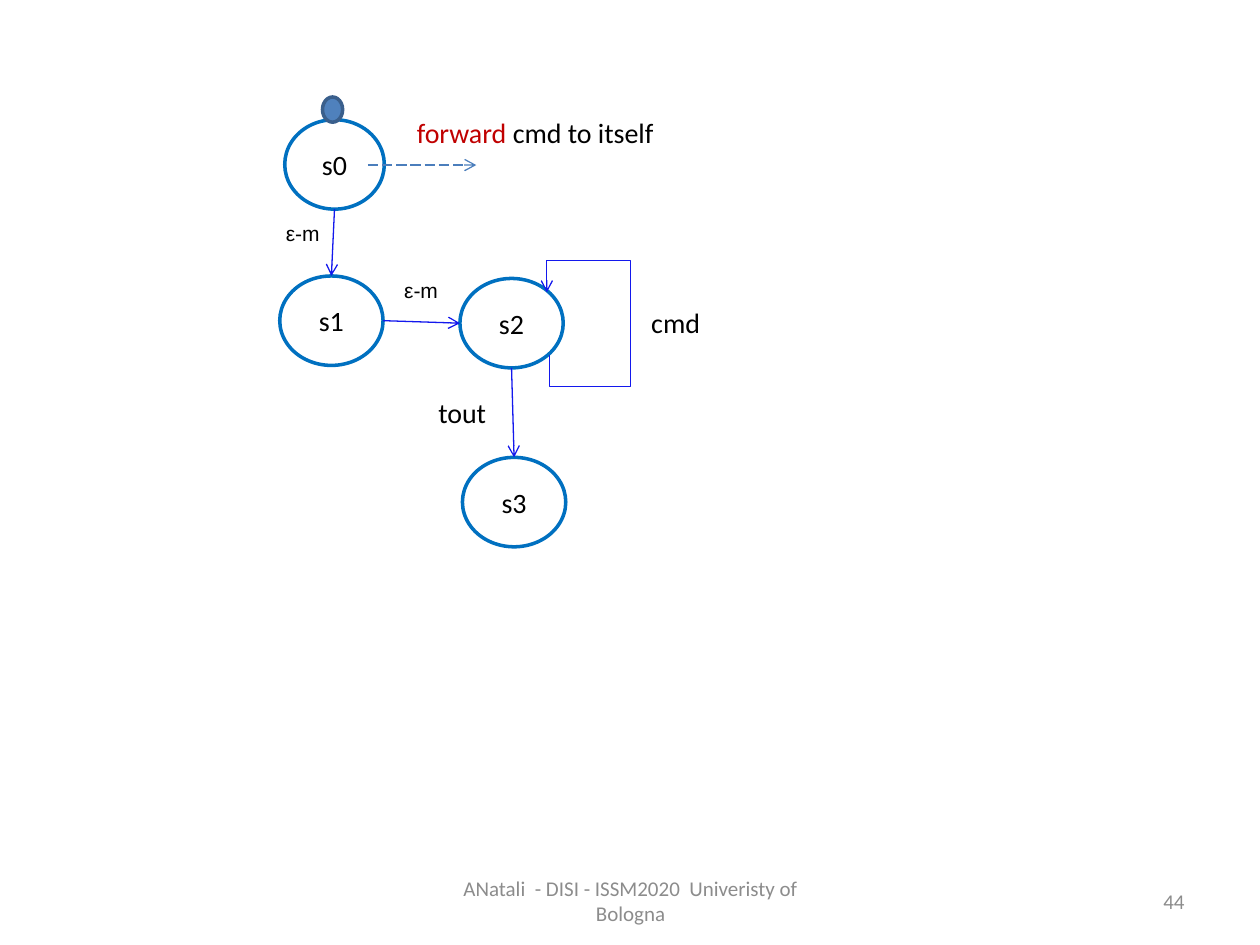
from typing import NamedTuple

from lxml.etree import SubElement
from pptx import Presentation
from pptx.dml.color import RGBColor
from pptx.enum.dml import MSO_LINE
from pptx.enum.shapes import MSO_CONNECTOR, MSO_SHAPE
from pptx.enum.text import MSO_ANCHOR, PP_ALIGN
from pptx.oxml.ns import qn
from pptx.util import Inches, Pt

COLORS = {
    "white": "FFFFFF", "black": "000000", "grey": "8C8C8C", "red": "C00000",
    "state": "0070C0", "start": "4F81BD", "start_edge": "3A5F8C",
    "transition": "1318ED", "message": "4B7EBC",
}

prs = Presentation()
prs.slide_width, prs.slide_height = Inches(10), Inches(7.5)
COL, ROW = prs.slide_width / 100, prs.slide_height / 75
s = prs.slides.add_slide(prs.slide_layouts[6])


class Box(NamedTuple):
    """Left, top, width and height in grid columns and rows."""
    x: float
    y: float
    w: float
    h: float

    def at(self, fx: float, fy: float) -> tuple[float, float]:
        """Point at the given shares of the width and height."""
        return self.x + fx * self.w, self.y + fy * self.h

    def emu(self) -> tuple[int, int, int, int]:
        return (round(self.x * COL), round(self.y * ROW),
                round(self.w * COL), round(self.h * ROW))


class Label(NamedTuple):
    text: str
    box: Box
    size: int = 16
    font: str = "Calibri"


def rgb(name: str) -> RGBColor:
    return RGBColor.from_string(COLORS[name])


def write(tf, text, *, size=16, font="Calibri", color="black",
          align=PP_ALIGN.LEFT, anchor=MSO_ANCHOR.TOP, wrap=False):
    """Append text as a run to the first paragraph of the frame."""
    tf.word_wrap, tf.vertical_anchor = wrap, anchor
    p = tf.paragraphs[0]
    p.alignment = align
    r = p.add_run()
    r.text = text
    r.font.size, r.font.name = Pt(size), font
    r.font.color.rgb = rgb(color)


def add_text(box: Box, text: str, **fmt):
    tf = s.shapes.add_textbox(*box.emu()).text_frame
    write(tf, text, **fmt)
    return tf


def add_ellipse(box: Box, fill: str, edge: str):
    sp = s.shapes.add_shape(MSO_SHAPE.OVAL, *box.emu())
    sp.shadow.inherit = False
    sp.fill.solid()
    sp.fill.fore_color.rgb = rgb(fill)
    sp.line.color.rgb = rgb(edge)
    sp.line.width = Pt(2)
    return sp


def add_arrow(start, end, color="transition", kind=MSO_CONNECTOR.STRAIGHT, dash=None):
    (x1, y1), (x2, y2) = start, end
    cxn = s.shapes.add_connector(kind, round(x1 * COL), round(y1 * ROW),
                                 round(x2 * COL), round(y2 * ROW))
    cxn.line.color.rgb = rgb(color)
    cxn.line.width = Pt(0.75)
    if dash:
        cxn.line.dash_style = dash
    SubElement(cxn.line._get_or_add_ln(), qn("a:tailEnd"), type="arrow")
    SubElement(cxn._element.spPr, qn("a:effectLst"))
    return cxn


def add_self_loop(start, end, right: float, overhang: float):
    """Five-part elbow from start, out to the right, and back to end above it."""
    (x1, y1), (x2, y2) = start, end
    length, depth = y1 - y2, x1 - x2
    cx, cy = (x1 + x2) / 2, (y1 + y2) / 2
    cxn = add_arrow((cx - length / 2, cy - depth / 2),
                    (cx + length / 2, cy + depth / 2), kind=MSO_CONNECTOR.ELBOW)
    xfrm = cxn._element.spPr.find(qn("a:xfrm"))
    xfrm.set("rot", str(90 * 60000))
    xfrm.set("flipH", "1")
    geom = cxn._element.spPr.find(qn("a:prstGeom"))
    geom.set("prst", "bentConnector5")
    guides = geom.find(qn("a:avLst"))
    shares = (-overhang / length, (x1 - right) / depth, 1 + overhang / length)
    for i, share in enumerate(shares, 1):
        SubElement(guides, qn("a:gd"), name=f"adj{i}", fmla=f"val {round(share * 100000)}")


STATES = {
    "s0": Box(22.6, 9.5, 7.9, 7.1),
    "s1": Box(22.2, 21.9, 8.2, 7.1),
    "s2": Box(36.5, 22.1, 8.2, 7.1),
    "s3": Box(36.7, 36.3, 8.2, 7.1),
}
TOP, BOTTOM, LEFT, RIGHT = (0.5, 0), (0.5, 1), (0, 0.5), (1, 0.5)
TRANSITIONS = [
    ("s0", BOTTOM, "s1", TOP),
    ("s1", RIGHT, "s2", LEFT),
    ("s2", BOTTOM, "s3", TOP),
]
LABELS = [
    Label("ε-m", Box(21.7, 17, 4.7, 3), 12, "Arial"),
    Label("ε-m", Box(31.1, 21.5, 4.7, 3), 12, "Arial"),
    Label("cmd", Box(50.7, 23.8, 5.9, 3.7)),
    Label("tout", Box(33.8, 30.9, 5.9, 3.7)),
]

footer = dict(size=12, color="grey", anchor=MSO_ANCHOR.MIDDLE, wrap=True)
add_text(Box(34.2, 69.5, 31.7, 4), "ANatali  - DISI - ISSM2020  Univeristy of Bologna",
         align=PP_ALIGN.CENTER, **footer)
add_text(Box(71.7, 69.5, 23.3, 4), "44", align=PP_ALIGN.RIGHT, **footer)

for name, box in STATES.items():
    state = add_ellipse(box, "white", "state")
    write(state.text_frame, name, align=PP_ALIGN.CENTER, anchor=MSO_ANCHOR.MIDDLE, wrap=True)
add_ellipse(Box(25.6, 7.7, 1.6, 2), "start", "start_edge")

for source, out, target, into in TRANSITIONS:
    add_arrow(STATES[source].at(*out), STATES[target].at(*into))
add_self_loop((43.6, 28.2), (43.4, 23.2), right=50, overhang=2.5)
add_arrow((29.2, 13.1), (37.8, 13.1), "message", dash=MSO_LINE.LONG_DASH)

for label in LABELS:
    add_text(label.box, label.text, size=label.size, font=label.font)
message = add_text(Box(32.1, 8.7, 21.1, 3.7), "forward ", color="red")
write(message, "cmd to itself")

prs.save("out.pptx")
